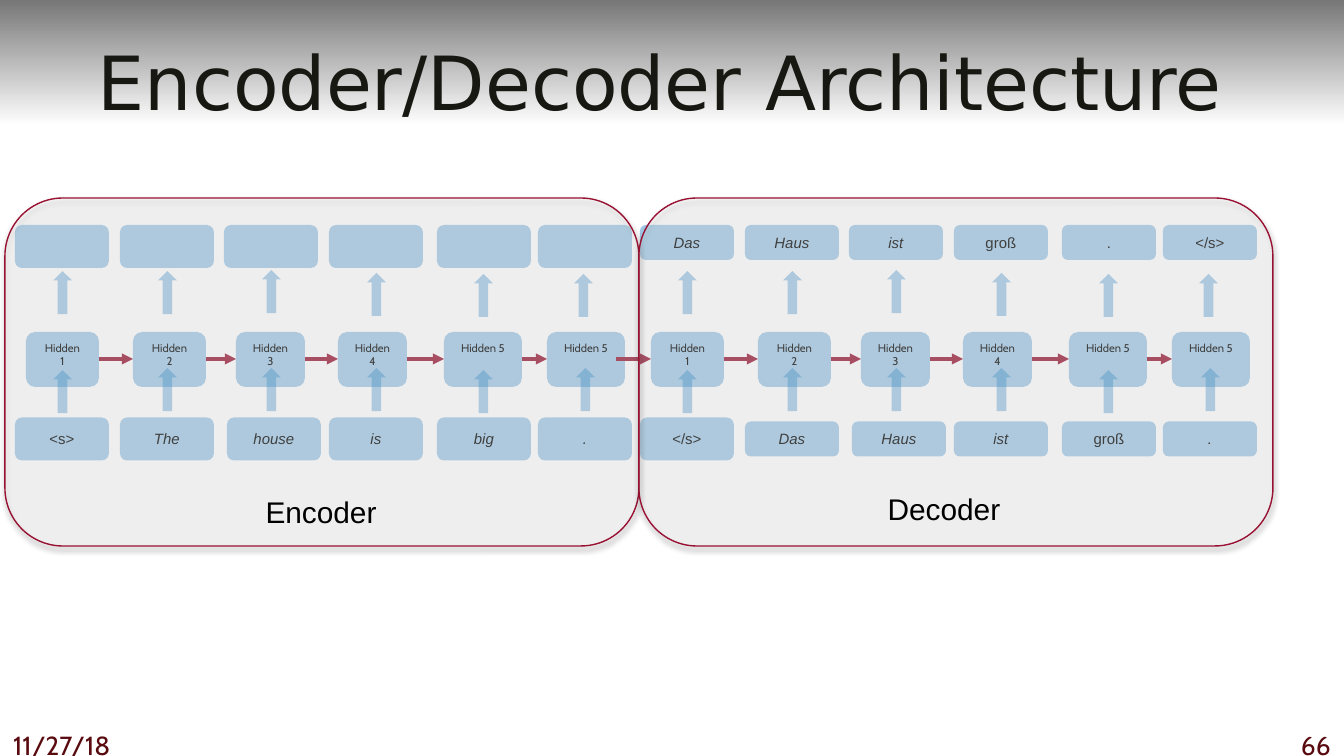
from lxml import etree
from pptx import Presentation, util as u
from pptx.dml.color import RGBColor
from pptx.enum import shapes, text
from pptx.oxml.ns import qn

PX = u.Inches(10) / 1344
COLORS = {
    "header": "777777", "white": "FFFFFF", "title": "181813",
    "footer": "590A0E", "box": "0070C0", "black": "000000",
    "arrow": "981535", "panel_line": "981132",
}
ALIGN = text.PP_ALIGN
KIND = shapes.MSO_SHAPE


def add_block(parent, kind, box, color, opacity):
    shape = parent.add_shape(kind, *[round(value * PX) for value in box])
    shape.shadow.inherit = False
    shape.fill.solid()
    shape.fill.fore_color.rgb = RGBColor.from_string(COLORS[color])
    shape.line.fill.background()
    fill_color = shape.element.spPr.find(qn("a:solidFill"))[0]
    etree.SubElement(fill_color, qn("a:alpha"), val=str(opacity * 1000))
    return shape


def write(shape, words, size, font, color="black", align=ALIGN.CENTER,
          anchor=text.MSO_ANCHOR.TOP, italic=False):
    frame = shape.text_frame
    frame.word_wrap = True
    frame.auto_size = text.MSO_AUTO_SIZE.NONE
    frame.vertical_anchor = anchor
    paragraph = frame.paragraphs[0]
    paragraph.alignment = align
    run = paragraph.add_run()
    run.text = words
    run.font.size = u.Pt(size)
    run.font.name = font
    run.font.italic = italic
    run.font.color.rgb = RGBColor.from_string(COLORS[color])


presentation = Presentation()
presentation.slide_width = round(1344 * PX)
presentation.slide_height = round(756 * PX)
slide = presentation.slides.add_slide(presentation.slide_layouts[5])

title = slide.shapes.title
title.left, title.top, title.width, title.height = [
    round(value * PX) for value in (5, 22, 1310, 118)]
write(title, "Encoder/Decoder Architecture", 40, "DejaVu Sans", "title",
      anchor=text.MSO_ANCHOR.MIDDLE)

header = slide.shapes.add_shape(KIND.RECTANGLE, 0, 0, round(1344 * PX), round(126 * PX))
header.shadow.inherit = False
header.line.fill.background()
header.fill.gradient()
header.fill.gradient_angle = 270
for stop, color, position in zip(header.fill.gradient_stops, ("header", "white"), (0, 1)):
    stop.color.rgb = RGBColor.from_string(COLORS[color])
    stop.position = position
title.element.addprevious(header.element)

input_lefts = [15, 120, 227, 329, 437, 538]
output_lefts = [15, 120, 224, 329, 437, 538]
hidden_lefts = [26, 133, 236, 338, 444, 547]
hidden_widths = [73, 73, 69, 69, 78, 78]
hidden_numbers = [1, 2, 3, 4, 5, 5]
lower_arrows = [(53, 370), (158, 368), (262, 368), (367, 368), (474, 370), (576, 368)]
upper_arrows = [(53, 271), (158, 271), (262, 270), (367, 273), (474, 274), (574, 274)]

halves = [
    (0, ["<s>", "The", "house", "is", "big", "."], [], 43),
    (625, ["</s>", "Das", "Haus", "ist", "groß", "."],
     ["Das", "Haus", "ist", "groß", ".", "</s>"], 35),
]
upright = {"<s>", "</s>", "groß"}
links = [(616, 651, slide.shapes)]

for offset, inputs, outputs, box_height in halves:
    group = slide.shapes.add_group_shape().shapes
    for column, word in enumerate(inputs):
        height = 43 if column == 0 else box_height
        box = add_block(group, KIND.ROUNDED_RECTANGLE,
                        (input_lefts[column] + offset, 439 - height / 2, 94, height), "box", 37)
        write(box, word, 8, "Arial", anchor=text.MSO_ANCHOR.MIDDLE, italic=word not in upright)

        output = add_block(group, KIND.ROUNDED_RECTANGLE,
                           (output_lefts[column] + offset, 225, 94, box_height), "box", 37)
        if outputs:
            write(output, outputs[column], 8, "Arial",
                  italic=outputs[column] not in upright | {"."})

        left = hidden_lefts[column] + offset
        hidden = add_block(group, KIND.ROUNDED_RECTANGLE,
                           (left, 332, hidden_widths[column], 55), "box", 37)
        write(hidden, f"Hidden {hidden_numbers[column]}", 6, "Cabin")

        for arrow_left, arrow_top in (lower_arrows[column], upper_arrows[column]):
            add_block(group, KIND.UP_ARROW, (arrow_left + offset, arrow_top, 19, 43), "box", 37)
        if column < 5:
            links.append((left + hidden_widths[column], hidden_lefts[column + 1] + offset, group))

for start, end, parent in links:
    connector = parent.add_connector(
        shapes.MSO_CONNECTOR.STRAIGHT,
        *[round(value * PX) for value in (start, 359, end, 359)])
    connector.line.color.rgb = RGBColor.from_string(COLORS["arrow"])
    connector.line.width = u.Pt(1.75)
    properties = connector.element.spPr
    etree.SubElement(properties.find(qn("a:ln")), qn("a:tailEnd"), type="triangle")
    etree.SubElement(properties, qn("a:effectLst"))

for left in (5, 639):
    panel = add_block(slide.shapes, KIND.ROUNDED_RECTANGLE, (left, 198, 634, 348), "white", 25)
    panel.line.color.rgb = RGBColor.from_string(COLORS["panel_line"])
    panel.line.width = u.Pt(0.75)
    shadow = etree.SubElement(
        panel.element.spPr.find(qn("a:effectLst")), qn("a:outerShdw"),
        blurRad=str(u.Pt(3.1)), dist=str(u.Pt(1.8)), dir="5400000", rotWithShape="0")
    shadow_color = etree.SubElement(shadow, qn("a:srgbClr"), val=COLORS["black"])
    etree.SubElement(shadow_color, qn("a:alpha"), val="35000")

labels = [
    ("Encoder", (241, 487, 160, 50), 16, "Arial", "black", ALIGN.CENTER),
    ("Decoder", (864, 484, 160, 50), 16, "Arial", "black", ALIGN.CENTER),
    ("11/27/18", (0, 723, 179, 33), 14, "Cabin", "footer", ALIGN.LEFT),
    ("66", (1277, 723, 67, 33), 14, "Cabin", "footer", ALIGN.RIGHT),
]
for words, box, size, font, color, align in labels:
    label = slide.shapes.add_textbox(*[round(value * PX) for value in box])
    write(label, words, size, font, color, align)

presentation.save("out.pptx")
